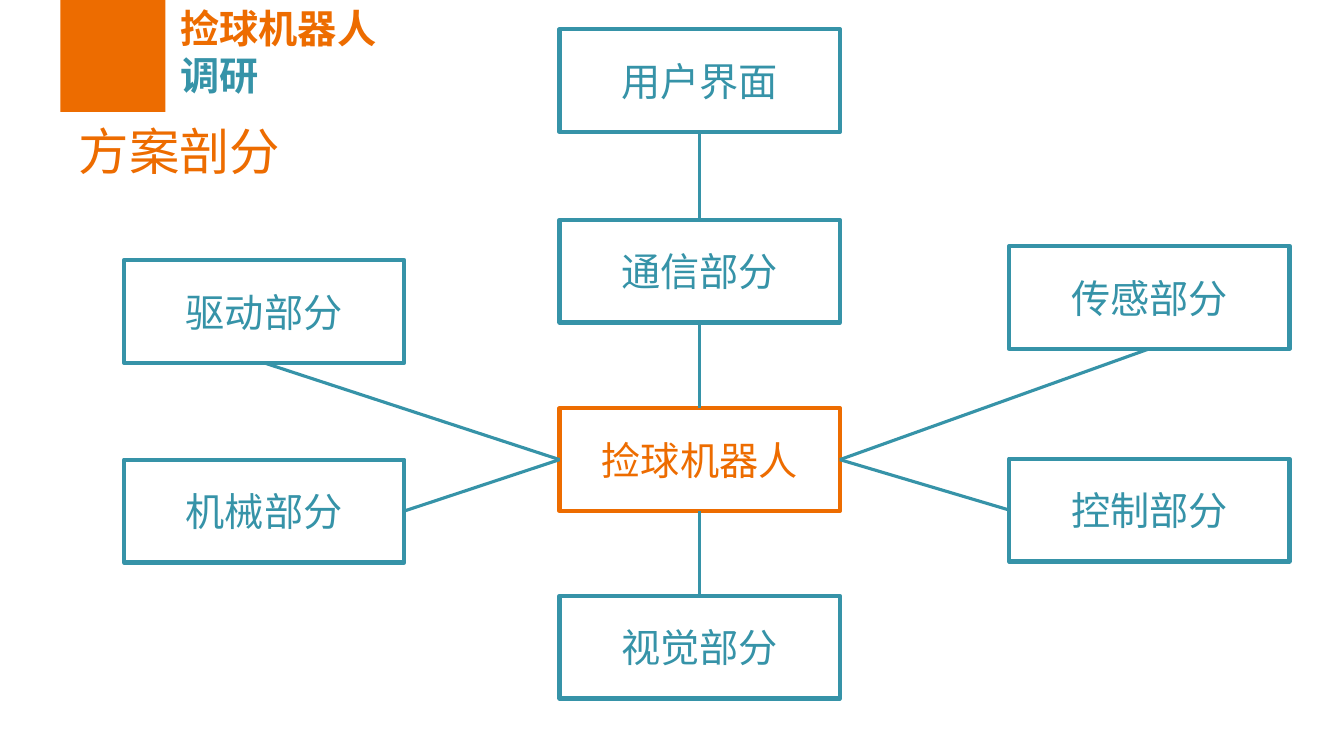
import pptx
import pptx.dml.color
import pptx.enum.shapes
import pptx.enum.text
import pptx.oxml
import pptx.util

PX = 9144
ORANGE = pptx.dml.color.RGBColor(0xED, 0x6C, 0x00)
TEAL = pptx.dml.color.RGBColor(0x36, 0x93, 0xA8)
FONT = "Calibri"
BOX_WIDTH, BOX_HEIGHT = 278, 102
TOP, LEFT, BOTTOM, RIGHT = range(4)

BOXES = [
    ("捡球机器人", 555, 405, ORANGE),
    ("机械部分", 123, 456, TEAL),
    ("控制部分", 1001, 455, TEAL),
    ("视觉部分", 555, 591, TEAL),
    ("传感部分", 1001, 244, TEAL),
    ("驱动部分", 123, 258, TEAL),
    ("通信部分", 555, 218, TEAL),
    ("用户界面", 555, 29, TEAL),
]
LINKS = [
    ("捡球机器人", LEFT, "机械部分", RIGHT),
    ("捡球机器人", RIGHT, "控制部分", LEFT),
    ("捡球机器人", BOTTOM, "视觉部分", TOP),
    ("捡球机器人", RIGHT, "传感部分", BOTTOM),
    ("捡球机器人", LEFT, "驱动部分", BOTTOM),
    ("捡球机器人", TOP, "通信部分", BOTTOM),
    ("通信部分", TOP, "用户界面", BOTTOM),
]


def px(*lengths):
    return [pptx.util.Emu(length * PX) for length in lengths]


def write_text(paragraph, text, size=28, color=TEAL, bold=False, align=None):
    paragraph.alignment = align
    run = paragraph.add_run()
    run.text = text
    run.font.name = FONT
    run.font.size = pptx.util.Pt(size)
    run.font.bold = bold
    run.font.color.rgb = color


def add_rectangle(slide, left, top, width, height):
    shape = slide.shapes.add_shape(
        pptx.enum.shapes.MSO_SHAPE.RECTANGLE, *px(left, top, width, height))
    shape.shadow.inherit = False
    return shape


def add_accent(slide):
    shape = add_rectangle(slide, 60, -9, 104, 120)
    shape.fill.solid()
    shape.fill.fore_color.rgb = ORANGE
    shape.line.fill.background()


def add_heading(slide, left, top, width, height, lines, size, bold=False):
    frame = slide.shapes.add_textbox(*px(left, top, width, height)).text_frame
    frame.word_wrap = True
    frame.auto_size = pptx.enum.text.MSO_AUTO_SIZE.SHAPE_TO_FIT_TEXT
    frame.margin_left, frame.margin_right = px(8, 8)
    frame.margin_top, frame.margin_bottom = px(4, 4)
    for index, (text, color) in enumerate(lines):
        paragraph = frame.add_paragraph() if index else frame.paragraphs[0]
        write_text(paragraph, text, size=size, color=color, bold=bold)


def add_box(slide, text, left, top, color):
    shape = add_rectangle(slide, left, top, BOX_WIDTH, BOX_HEIGHT)
    shape.fill.background()
    shape.line.color.rgb = color
    shape.line.width = pptx.util.Pt(3)
    frame = shape.text_frame
    frame.word_wrap = True
    frame.vertical_anchor = pptx.enum.text.MSO_ANCHOR.MIDDLE
    write_text(frame.paragraphs[0], text, color=color,
               align=pptx.enum.text.PP_ALIGN.CENTER)
    return shape


def add_link(slide, start, start_side, end, end_side):
    connector = slide.shapes.add_connector(
        pptx.enum.shapes.MSO_CONNECTOR.STRAIGHT, 0, 0, 0, 0)
    connector.begin_connect(start, start_side)
    connector.end_connect(end, end_side)
    connector.line.color.rgb = TEAL
    connector.line.width = pptx.util.Pt(2.25)
    properties = connector._element.spPr
    properties.append(pptx.oxml.parse_xml(
        '<a:effectLst xmlns:a='
        '"http://schemas.openxmlformats.org/drawingml/2006/main"/>'))


def main():
    presentation = pptx.Presentation()
    presentation.slide_width, presentation.slide_height = px(1333, 750)
    slide = presentation.slides.add_slide(presentation.slide_layouts[6])
    add_accent(slide)
    add_heading(slide, 171, 0, 486, 102,
                [("捡球机器人", ORANGE), ("调研", TEAL)], size=28, bold=True)
    add_heading(slide, 70, 115, 579, 69, [("方案剖分", ORANGE)], size=36)
    boxes = {text: add_box(slide, text, left, top, color)
             for text, left, top, color in BOXES}
    for start, start_side, end, end_side in LINKS:
        add_link(slide, boxes[start], start_side, boxes[end], end_side)
    presentation.save("out.pptx")


if __name__ == "__main__":
    main()
